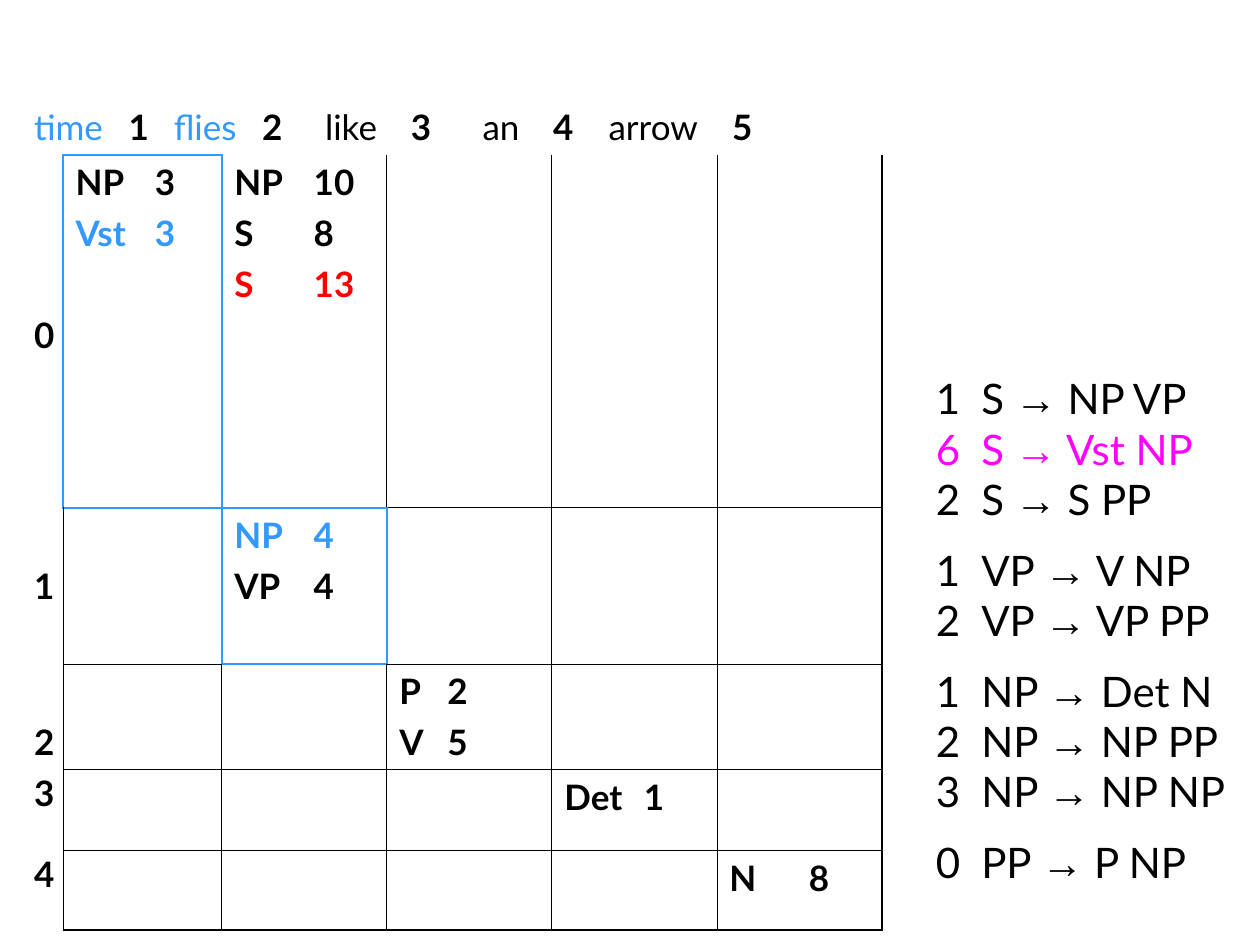
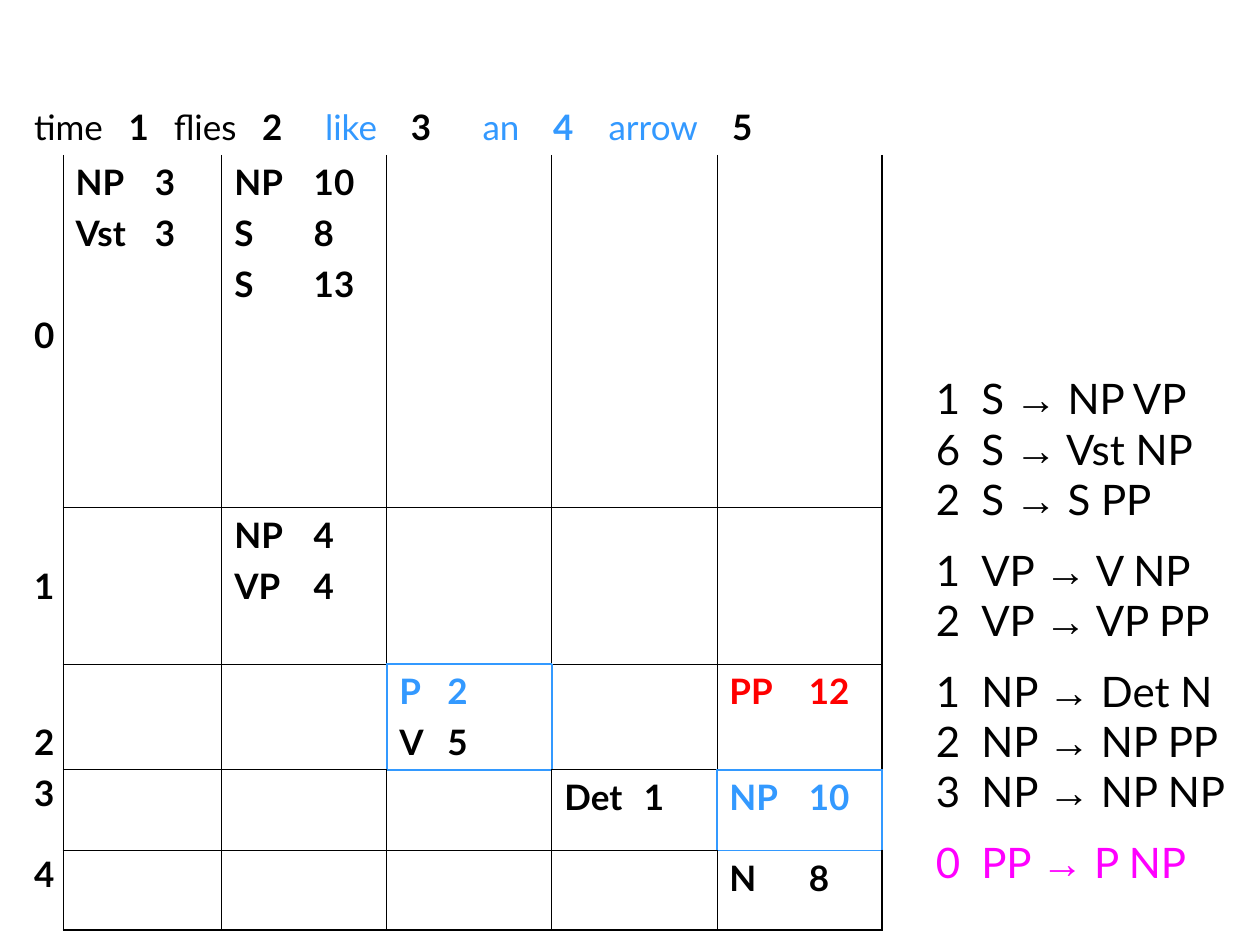
from lxml.etree import SubElement
from pptx import Presentation
from pptx.dml.color import RGBColor
from pptx.enum.text import PP_ALIGN
from pptx.oxml import parse_xml
from pptx.oxml.ns import nsdecls, qn
from pptx.util import Inches, Pt

BLACK, BLUE, RED, MAGENTA = "000000", "3399FF", "FF0000", "FF00FF"
THIN, THICK = 0.45, 1.08

COLUMN_WIDTHS = [0.33, 1.26, 1.31, 1.31, 1.31, 1.31]
ROW_HEIGHTS = [0.44, 2.8, 1.24, 0.84, 0.64, 0.63]
LAST_ROW, LAST_COLUMN = 5, 5
LABEL_SPACING = [1, 2.2, 2.2, 0.9, 0.9]

SENTENCE = ["time", "1", "flies", "2", "like", "3", "an", "4", "arrow", "5"]
SENTENCE_TABS = [0.75, 1.11, 1.81, 2.31, 2.99, 3.56, 4.12, 4.56, 5.54]

# Chart entries by (row, column), shared by both slides
ENTRIES = {
    (1, 1): ["NP\t3", "Vst\t3"],
    (1, 2): ["NP\t10", "S\t8", "S\t13"],
    (2, 2): ["NP\t4", "VP\t4"],
    (3, 3): ["P\t2", "V\t5"],
    (4, 4): ["Det\t1"],
    (5, 5): ["N\t8"],
}

# Weight, left side, right side; each group opens with wider spacing
RULE_GROUPS = [
    [("1", "S", "NP VP"), ("6", "S", "Vst NP"), ("2", "S", "S PP")],
    [("1", "VP", "V NP"), ("2", "VP", "VP PP")],
    [("1", "NP", "Det N"), ("2", "NP", "NP PP"), ("3", "NP", "NP NP")],
    [("0", "PP", "P NP")],
]

# What each parsing step adds and highlights
STEPS = [
    {
        "words": ["time", "flies"],
        "new_entries": {},
        "boxed": [(1, 1), (2, 2)],
        "entry_colors": {(1, 1, 1): BLUE, (2, 2, 0): BLUE, (1, 2, 2): RED},
        "rule": ("6", "S", "Vst NP"),
    },
    {
        "words": ["like", "an", "4", "arrow"],
        "new_entries": {(3, 5): ["PP\t12"], (4, 5): ["NP\t10"]},
        "boxed": [(3, 3), (4, 5)],
        "entry_colors": {(3, 3, 0): BLUE, (4, 5, 0): BLUE, (3, 5, 0): RED},
        "rule": ("0", "PP", "P NP"),
    },
]


def write(paragraph, text, size=20, color=BLACK, bold=False, font="Lato"):
    run = paragraph.add_run()
    run.text = text
    run.font.size = Pt(size)
    run.font.bold = bold
    run.font.name = font
    run.font.color.rgb = RGBColor.from_string(color)


def set_tabs(paragraph, stops):
    tab_list = SubElement(paragraph._p.get_or_add_pPr(), qn("a:tabLst"))
    for stop in stops:
        SubElement(tab_list, qn("a:tab"), pos=str(Inches(stop)), algn="l")


presentation = Presentation()
presentation.slide_width = Inches(10)
presentation.slide_height = Inches(7.5)

for step in STEPS:
    slide = presentation.slides.add_slide(presentation.slide_layouts[6])

    # Parse chart
    table = slide.shapes.add_table(
        len(ROW_HEIGHTS), len(COLUMN_WIDTHS), Inches(0.17), Inches(0.79),
        Inches(sum(COLUMN_WIDTHS)), Inches(sum(ROW_HEIGHTS))).table
    table.first_row = table.horz_banding = False
    for column, width in zip(table.columns, COLUMN_WIDTHS):
        column.width = Inches(width)
    for row, height in zip(table.rows, ROW_HEIGHTS):
        row.height = Inches(height)

    # Cell borders: thin grid, thick outer edge, blue around boxed cells
    for r in range(LAST_ROW + 1):
        for c in range(LAST_COLUMN + 1):
            cell = table.cell(r, c)
            cell.fill.background()
            neighbours = {"L": (r, c - 1), "R": (r, c + 1),
                          "T": (r - 1, c), "B": (r + 1, c)}
            for position, (side, neighbour) in enumerate(neighbours.items()):
                pair = [(r, c), neighbour]
                in_grid = any(1 <= y <= LAST_ROW and 1 <= x <= LAST_COLUMN
                              for y, x in pair)
                under_words = sorted(y for y, x in pair) == [0, 1]
                outer = neighbour[0] > LAST_ROW or neighbour[1] > LAST_COLUMN
                color, width = BLACK, THICK if outer else THIN
                if any(place in step["boxed"] for place in pair):
                    color, width = BLUE, THICK
                elif not in_grid or under_words:
                    color = None
                paint = (f'<a:solidFill><a:srgbClr val="{color}"/></a:solidFill>'
                         if color else "<a:noFill/>")
                border = parse_xml(f'<a:ln{side} {nsdecls("a")} w="{Pt(width)}">'
                                   f"{paint}</a:ln{side}>")
                cell._tc.get_or_add_tcPr().insert(position, border)

    # Sentence with numbered word boundaries
    table.cell(0, 0).merge(table.cell(0, LAST_COLUMN))
    paragraph = table.cell(0, 0).text_frame.paragraphs[0]
    set_tabs(paragraph, SENTENCE_TABS)
    for index, word in enumerate(SENTENCE):
        write(paragraph, word if index == 0 else "\t" + word,
              color=BLUE if word in step["words"] else BLACK,
              bold=word.isdigit())

    # Row labels
    for start, spacing in enumerate(LABEL_SPACING):
        cell = table.cell(start + 1, 0)
        if start == 0:
            cell.margin_top = Inches(1.26)
        paragraph = cell.text_frame.paragraphs[0]
        paragraph.alignment = PP_ALIGN.CENTER
        paragraph.line_spacing = spacing
        write(paragraph, str(start), bold=True)

    # Constituents with their weights
    for (r, c), lines in (ENTRIES | step["new_entries"]).items():
        text_frame = table.cell(r, c).text_frame
        for index, line in enumerate(lines):
            paragraph = text_frame.paragraphs[0] if index == 0 else text_frame.add_paragraph()
            set_tabs(paragraph, [0.38 if c == 3 else 0.63])
            if index:
                paragraph.space_before = Pt(5)
            write(paragraph, line, bold=True,
                  color=step["entry_colors"].get((r, c, index), BLACK))

    # Grammar rules
    text_frame = slide.shapes.add_textbox(
        Inches(7.33), Inches(2.91), Inches(2.67), Inches(4.18)).text_frame
    text_frame.word_wrap = True
    paragraph = text_frame.paragraphs[0]
    for group_index, group in enumerate(RULE_GROUPS):
        for rule_index, rule in enumerate(group):
            if group_index or rule_index:
                paragraph = text_frame.add_paragraph()
            set_tabs(paragraph, [0.36])
            if group_index and rule_index == 0:
                paragraph.line_spacing = 1.4
            weight, left, right = rule
            color = MAGENTA if rule == step["rule"] else BLACK
            write(paragraph, f"{weight}\t{left} ", size=24, color=color)
            write(paragraph, "→", size=24, color=color, font="Arial")
            write(paragraph, f" {right}", size=24, color=color)

presentation.save("out.pptx")
